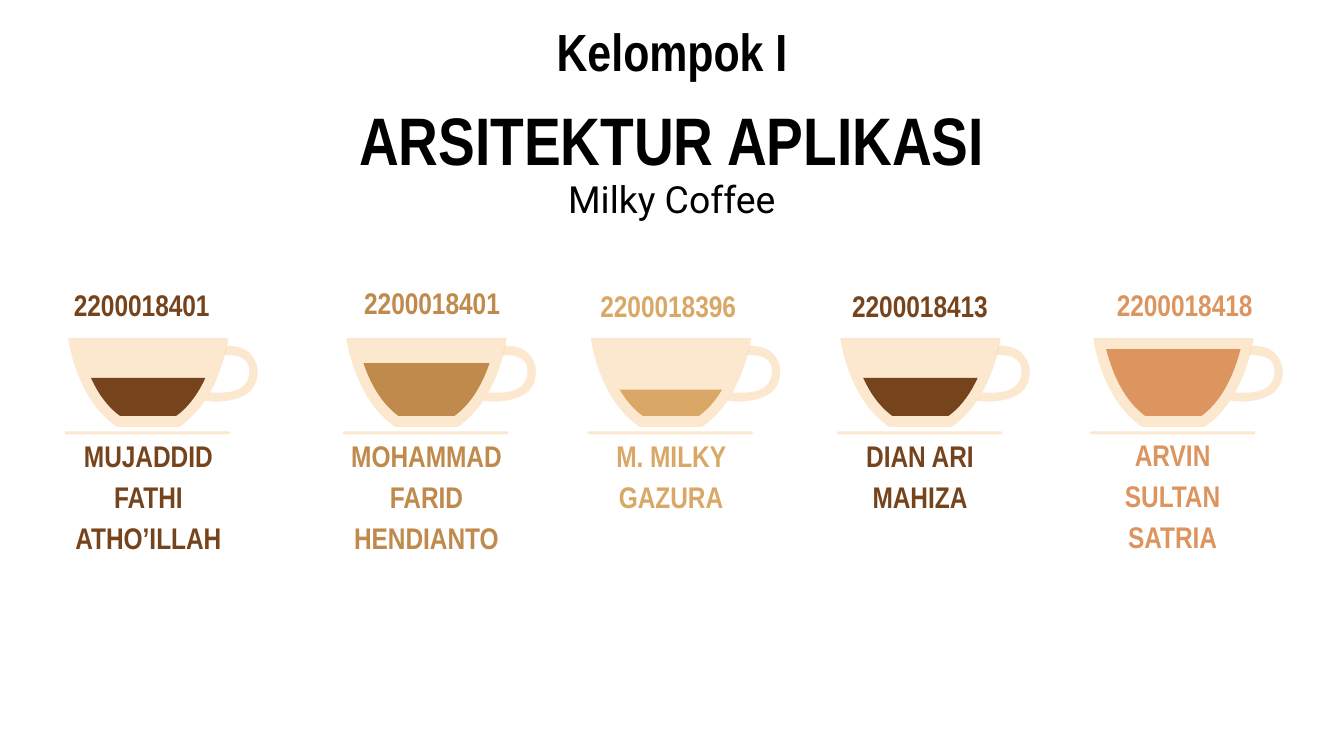
from lxml import etree
from pptx import Presentation
from pptx.dml.color import RGBColor
from pptx.enum.shapes import MSO_SHAPE
from pptx.enum.text import MSO_ANCHOR, PP_ALIGN
from pptx.oxml.ns import qn
from pptx.util import Pt

CENTER = PP_ALIGN.CENTER
TOP = MSO_ANCHOR.TOP
ROUNDED = MSO_SHAPE.ROUNDED_RECTANGLE

NARROW = "Arial Narrow"
BLACK = "000000"
CREAM, CREAM_ALPHA = "FACA93", 44
BROWN, CARAMEL, SAND, PEACH = "76441C", "C08A4C", "D9A866", "DD955F"

# Cup geometry, measured from the cup's upper left corner
CUP_TOP = 181.2
CUP_MIDDLE = 42.9
BODY_WALL = [(0, 0), (0, 0), (4, 32.6), (26.2, 47.5)]
LIQUID_WALL = [(6.9, 5.8), (9.1, 14.4), (14.6, 32), (27.8, 41.6)]
# A start point, then segments: one point is a line, three are a curve
HANDLE = [
    (85, 4), [(83.5, 9)],
    [(87.5, 9), (92, 9.2), (94.5, 11.5)],
    [(96.5, 13), (97.3, 15.5), (97, 19)],
    [(96.7, 22), (95.8, 24), (93.5, 26)],
    [(89.5, 29.3), (83.5, 29.4), (76, 29.2)],
    [(73.3, 33.3)],
    [(73.5, 33.5), (76.5, 34), (80, 34)],
    [(86, 33.8), (92, 32.6), (96.5, 29.3)],
    [(99.5, 27), (101.2, 23.5), (101.5, 19)],
    [(101.7, 14.5), (100.3, 11), (97.3, 8)],
    [(93.7, 4.6), (88.7, 4.1), (85, 4)],
]

# Cup left, liquid level, colour, number, number box (left, top),
# name, name box (left, top)
MEMBERS = [
    (36.5, 21.3, BROWN, "2200018401", (24.5, 143.3),
     "MUJADDID FATHI ATHO’ILLAH", (28, 224.4)),
    (185.6, 13.3, CARAMEL, "2200018401", (180, 142.4),
     "MOHAMMAD FARID HENDIANTO", (177, 224.4)),
    (316.5, 27.5, SAND, "2200018396", (306.5, 144),
     "M. MILKY GAZURA", (308, 224.2)),
    (450.2, 21.3, BROWN, "2200018413", (441.4, 144),
     "DIAN ARI MAHIZA", (441.4, 224.2)),
    (585.7, 5.8, PEACH, "2200018418", (583.2, 143.3),
     "ARVIN SULTAN SATRIA", (576.7, 223.8)),
]


def rgb(value):
    return RGBColor.from_string(value)


def add_text(slide, text, left, top, width, height, *, size,
             color=BLACK, font=NARROW, bold=True, spacing=1.15, after=16):
    box = slide.shapes.add_textbox(Pt(left), Pt(top), Pt(width), Pt(height))
    frame = box.text_frame
    frame.word_wrap = True
    frame.vertical_anchor = TOP
    frame.margin_left = frame.margin_right = Pt(7.2)
    frame.margin_top = frame.margin_bottom = Pt(7.2)
    para = frame.paragraphs[0]
    para.alignment = CENTER
    para.line_spacing = spacing
    para.space_after = Pt(after)
    span = para.add_run()
    span.text = text
    span.font.name = font
    span.font.size = Pt(size)
    span.font.bold = bold
    span.font.color.rgb = rgb(color)


def paint(shape, color, alpha=100):
    shape.shadow.inherit = False
    shape.line.fill.background()
    shape.fill.solid()
    shape.fill.fore_color.rgb = rgb(color)
    if alpha < 100:
        tint = shape.fill._xPr.find(".//" + qn("a:srgbClr"))
        etree.SubElement(tint, qn("a:alpha")).set("val", str(alpha * 1000))


def split(curve, t):
    """Return the part of a cubic curve that follows t."""
    rest = []
    while curve:
        rest.insert(0, curve[-1])
        curve = [tuple(a + (b - a) * t for a, b in zip(p, q))
                 for p, q in zip(curve, curve[1:])]
    return rest


def cut_at(curve, level):
    """Return the part of a falling curve that lies below the level."""
    low, high = 0, 1
    for _ in range(20):
        middle = (low + high) / 2
        if split(curve, middle)[0][1] < level:
            low = middle
        else:
            high = middle
    return split(curve, low)


def mirrored(wall):
    """Close a left wall with its reflection about the cup's middle."""
    right = [(2 * CUP_MIDDLE - x, y) for x, y in reversed(wall)]
    return [wall[0], wall[1:], right[:1], right[1:]]


def add_outline(group, outline, left, color, alpha=100):
    start, *segments = outline
    spots = [(Pt(left + x), Pt(CUP_TOP + y))
             for x, y in [start, *sum(segments, [])]]
    builder = group.shapes.build_freeform(*spots[0])
    builder.add_line_segments(spots[1:], close=True)
    shape = builder.convert_to_shape()
    # Join each run of three line points into one curve
    lines = iter(list(shape._element.iter(qn("a:lnTo"))))
    for segment in segments:
        first, *others = [next(lines) for _ in segment]
        if others:
            curve = etree.Element(qn("a:cubicBezTo"))
            first.addprevious(curve)
            for line in (first, *others):
                curve.append(line[0])
                line.getparent().remove(line)
    paint(shape, color, alpha)


def add_cup(slide, left, level, color):
    group = slide.shapes.add_group_shape()
    # Body and handle
    for outline in (mirrored(BODY_WALL), HANDLE):
        add_outline(group, outline, left, CREAM, CREAM_ALPHA)
    # Saucer
    saucer = group.shapes.add_shape(
        ROUNDED, Pt(left - 1.8), Pt(CUP_TOP + 49.9), Pt(88.6), Pt(1.6))
    saucer.adjustments[0] = 0.5
    paint(saucer, CREAM, CREAM_ALPHA)
    # Liquid
    add_outline(group, mirrored(cut_at(LIQUID_WALL, level)), left, color)


def main():
    deck = Presentation()
    deck.slide_width, deck.slide_height = Pt(720), Pt(405)
    slide = deck.slides.add_slide(deck.slide_layouts[6])

    # Headings
    add_text(slide, "Kelompok I", 24.5, 2.9, 671, 45.4,
             size=28, spacing=1, after=0)
    add_text(slide, "ARSITEKTUR APLIKASI", 0, 38.9, 720, 54.7, size=36)
    add_text(slide, "Milky Coffee", 0, 83.5, 720, 40.3,
             size=20, font="Roboto", bold=False)

    # Members, each with a cup, a number and a name
    for left, level, color, number, spot, name, name_spot in MEMBERS:
        add_cup(slide, left, level, color)
        add_text(slide, number, *spot, 103, 30.2, size=16, color=color)
        add_text(slide, name, *name_spot, 103, 75, size=16, color=color)

    deck.save("out.pptx")


if __name__ == "__main__":
    main()
